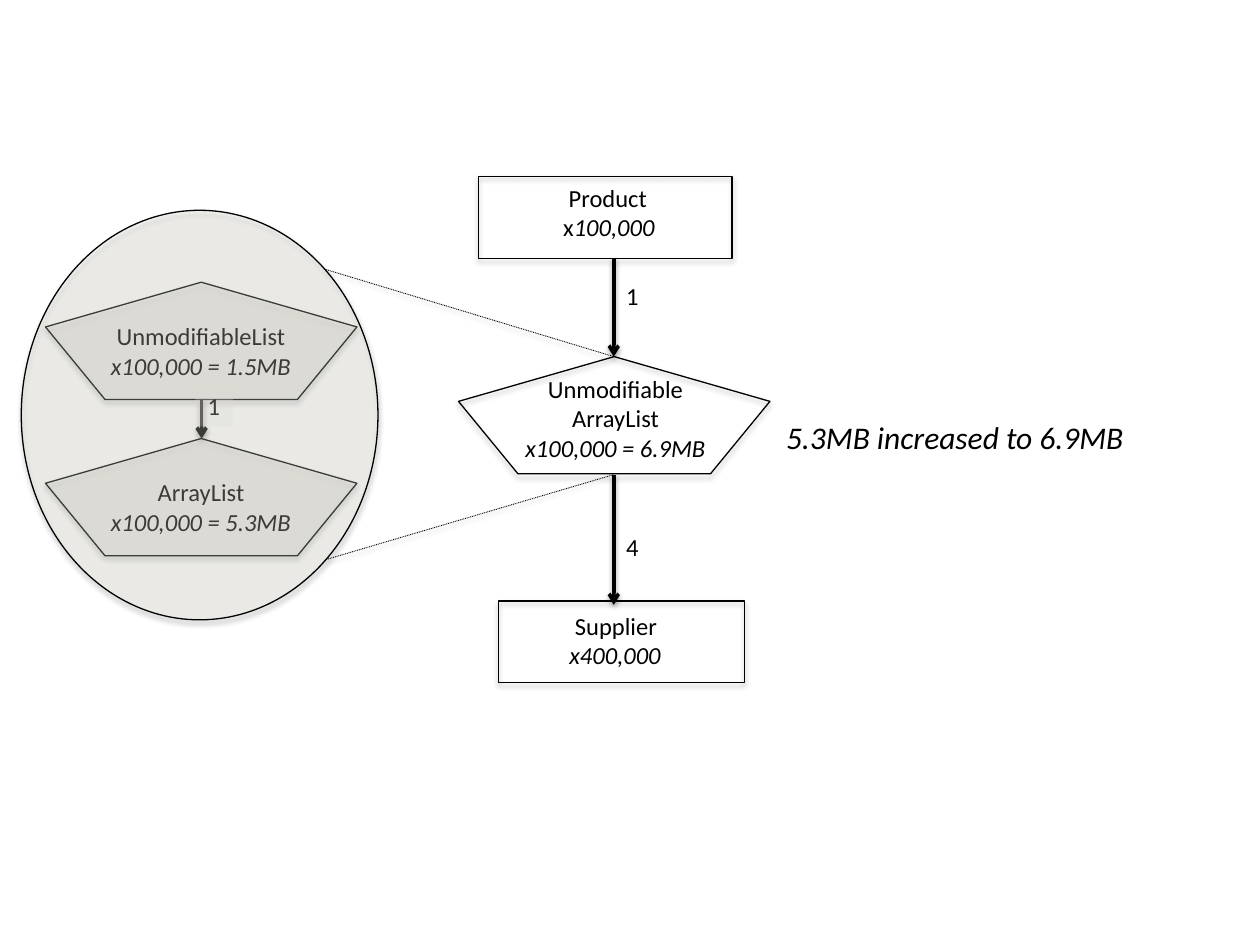
from pptx import Presentation
from pptx.dml.color import RGBColor
from pptx.enum import dml, shapes, text
from pptx.oxml import parse_xml
from pptx.oxml.ns import nsdecls
from pptx.util import Pt

THEME = dict(font="Calibri", ink="000000", tint="EEECE1", tint_alpha=25,
             body=14, note=18, outline=0.75, arrow=2, dotted=0.5)
KINDS = dict(rect=shapes.MSO_SHAPE.RECTANGLE, ellipse=shapes.MSO_SHAPE.OVAL,
             pentagon=shapes.MSO_SHAPE.REGULAR_PENTAGON)
CENTER, LEFT = text.PP_ALIGN.CENTER, text.PP_ALIGN.LEFT

# Geometry in points: left, top, width, height
PENTAGON = (178, 67)
BOX_INDENTS = (28.5, 25.3)
AXIS, ZOOM_AXIS = 350.75, 115.2
ARRAY_TOP, ARRAY_BOTTOM = 203.8, 271.2

# A line of text is a list of (words, italic) runs
BOXES = [
    ((285, 343.4, 140.4, 46.8), (293, 345.6, 116, 41),
     [[("Supplier", False)], [("x400,000", True)]]),
    ((273.6, 100.8, 144.7, 46.8), (289.4, 100.8, 95, 41),
     [[("Product", False)], [("x", False), ("100,000", True)]]),
]
ARROWS = [(AXIS, 147.6, ARRAY_TOP), (AXIS, ARRAY_BOTTOM, 345.6)]
COUNTS = [("1", 157), ("4", 300.2)]
ARRAY_TEXT = [[("Unmodifiable", False)], [("ArrayList", False)],
              [("x100,000 = 6.9MB", True)]]
NOTE = [[("5.3MB increased to 6.9MB", True)]]
ZOOM_LISTS = [(161.3, "UnmodifiableList", "x100,000 = 1.5MB"),
              (250.6, "ArrayList", "x100,000 = 5.3MB")]
ZOOM_OVAL = (12.2, 120.2, 203.8, 234)
ZOOM_LINES = [(154.1, ARRAY_TOP), (319.7, ARRAY_BOTTOM)]


def add_shadow(sp, alpha, blur, dist):
    """Give a shape or connector a soft shadow straight below it."""
    props = sp._element.spPr
    for old in props.findall("{*}effectLst"):
        props.remove(old)
    props.append(parse_xml(
        f'<a:effectLst {nsdecls("a")}><a:outerShdw blurRad="{Pt(blur)}" '
        f'dist="{Pt(dist)}" dir="5400000" rotWithShape="0">'
        f'<a:srgbClr val="{THEME["ink"]}"><a:alpha val="{alpha * 1000}"/>'
        '</a:srgbClr></a:outerShdw></a:effectLst>'))


def add_outline(sp, width):
    """Draw a solid ink line of the given width."""
    sp.line.color.rgb = RGBColor.from_string(THEME["ink"])
    sp.line.width = Pt(width)


def add_figure(parent, kind, at, tinted=False, outlined=True):
    """Add a preset shape, clear or tinted."""
    sp = parent.add_shape(KINDS[kind], *map(Pt, at))
    sp.shadow.inherit = False
    if tinted:
        sp.fill.solid()
        sp.fill.fore_color.rgb = RGBColor.from_string(THEME["tint"])
        color = sp._element.spPr.find("{*}solidFill")[0]
        color.append(parse_xml(
            f'<a:alpha {nsdecls("a")} val="{THEME["tint_alpha"] * 1000}"/>'))
    else:
        sp.fill.background()
    if outlined:
        add_outline(sp, THEME["outline"])
        add_shadow(sp, 35, 3.1, 1.8)
    else:
        sp.line.fill.background()
    return sp


def add_line(parent, start, end, arrow=False):
    """Add a thick arrow or a thin dotted line."""
    c = parent.add_connector(shapes.MSO_CONNECTOR.STRAIGHT,
                             *map(Pt, (*start, *end)))
    add_outline(c, THEME["arrow" if arrow else "dotted"])
    if arrow:
        c.line._get_or_add_ln().append(
            parse_xml(f'<a:tailEnd {nsdecls("a")} type="arrow"/>'))
    else:
        c.line.dash_style = dml.MSO_LINE.ROUND_DOT
    add_shadow(c, 38, 3.1, 1.6)


def write(sp, lines, size="body", align=LEFT, wrap=False, indents=()):
    """Write lines of runs, each with an optional left indent."""
    tf = sp.text_frame
    frame = dict(word_wrap=wrap, vertical_anchor=text.MSO_ANCHOR.TOP,
                 auto_size=text.MSO_AUTO_SIZE.SHAPE_TO_FIT_TEXT)
    for name, value in frame.items():
        setattr(tf, name, value)
    for i, line in enumerate(lines):
        p = tf.add_paragraph() if i else tf.paragraphs[0]
        p.alignment = align
        if indents:
            p._p.get_or_add_pPr().set("marL", str(Pt(indents[i])))
        for words, italic in line:
            r = p.add_run()
            r.text = words
            for name, value in dict(name=THEME["font"], size=Pt(THEME[size]),
                                    italic=italic).items():
                setattr(r.font, name, value)
            r.font.color.rgb = RGBColor.from_string(THEME["ink"])


def add_text(parent, at, lines, **style):
    """Add a text box."""
    write(parent.add_textbox(*map(Pt, at)), lines, **style)


def add_zoom(parent):
    """Add the grouped close-up of the two nested lists."""
    group = parent.add_group_shape().shapes
    for top, _, _ in ZOOM_LISTS:
        add_figure(group, "pentagon", (26, top, *PENTAGON), tinted=True)
    (first, _, _), (second, _, _) = ZOOM_LISTS
    add_line(group, (ZOOM_AXIS, first + PENTAGON[1]), (ZOOM_AXIS, second),
             arrow=True)
    count = add_figure(group, "rect", (111.6, 219.6, 21.6, 24),
                       tinted=True, outlined=False)
    write(count, [[("1", False)]])
    for top, name, size in ZOOM_LISTS:
        label = add_figure(group, "rect", (54, top + 18.7, 121.7, 41),
                           tinted=True, outlined=False)
        write(label, [[(name, False)], [(size, True)]], align=CENTER)
    add_figure(group, "ellipse", ZOOM_OVAL, tinted=True)


def build():
    """Build the slide and save it."""
    prs = Presentation()
    prs.slide_width, prs.slide_height = Pt(720), Pt(540)
    s = prs.slides.add_slide(prs.slide_layouts[6]).shapes
    add_figure(s, "pentagon", (262, ARRAY_TOP, *PENTAGON))
    for x, top, bottom in ARROWS:
        add_line(s, (x, top), (x, bottom), arrow=True)
    for box, label, lines in BOXES:
        add_figure(s, "rect", box)
        add_text(s, label, lines, wrap=True, indents=BOX_INDENTS)
    for count, top in COUNTS:
        add_text(s, (AXIS, top, 21.6, 24), [[(count, False)]])
    add_text(s, (290.9, 210.2, 121.7, 58.3), ARRAY_TEXT, align=CENTER)
    add_text(s, (442.1, 235.4, 211, 28.8), NOTE, size="note")
    add_zoom(s)
    for y, target in ZOOM_LINES:
        add_line(s, (186.5, y), (AXIS, target))
    prs.save("out.pptx")


build()
